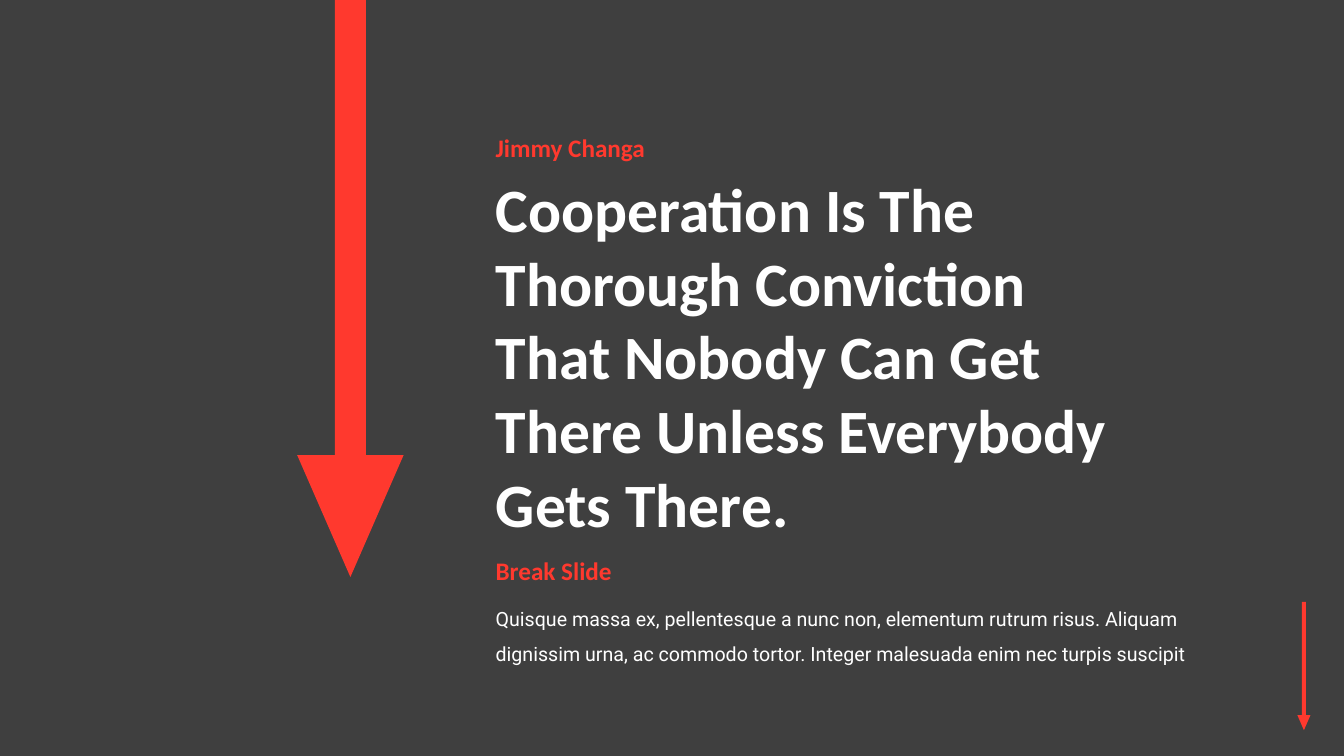
import pptx
import pptx.util
import pptx.dml.color
import pptx.enum.shapes
import pptx.enum.text
import pptx.oxml
import pptx.oxml.ns

Cm = pptx.util.Cm
MSO_SHAPE = pptx.enum.shapes.MSO_SHAPE
DARK, RED, WHITE = "3F3F3F", "FF392E", "FFFFFF"


def paint(fill, color):
    fill.solid()
    fill.fore_color.rgb = pptx.dml.color.RGBColor.from_string(color)


def add_block(kind, left, top, width, height, color):
    sp = slide.shapes.add_shape(kind, Cm(left), Cm(top), Cm(width), Cm(height))
    paint(sp.fill, color)
    sp.line.fill.background()
    sp.shadow.inherit = False
    return sp


prs = pptx.Presentation()
prs.slide_width, prs.slide_height = Cm(33.87), Cm(19.05)
slide = prs.slides.add_slide(prs.slide_layouts[5])
paint(slide.background.fill, DARK)

# Translucent panel over the right side
panel = add_block(MSO_SHAPE.RECTANGLE, 4.98, 0, 28.89, 19.05, DARK)
panel_color = panel._element.spPr.find(".//" + pptx.oxml.ns.qn("a:srgbClr"))
panel_color.append(pptx.oxml.parse_xml(
    '<a:alpha xmlns:a="http://schemas.openxmlformats.org/drawingml/2006/main" val="85000"/>'))

# Down arrows: centre, top, shaft width and length, head width and height
arrows = [
    (32.86, 15.17, 0.1, 2.85, 0.33, 0.38),
    (8.83, 0, 0.78, 11.47, 2.68, 3.07),
]
for center, top, shaft_w, shaft_h, head_w, head_h in arrows:
    add_block(MSO_SHAPE.RECTANGLE, center - shaft_w / 2, top, shaft_w, shaft_h, RED)
    head = add_block(MSO_SHAPE.ISOSCELES_TRIANGLE, center - head_w / 2,
                     top + shaft_h, head_w, head_h, RED)
    head.rotation = 180

# Bring the title in front of the panel
title = slide.shapes.title
slide.shapes._spTree.append(title._element)

# Quote in the title, with labels and body text: top, width, height, style
quote = ("Cooperation Is The\nThorough Conviction\nThat Nobody Can Get\n"
         "There Unless Everybody\nGets There.")
body = ("Quisque massa ex, pellentesque a nunc non, elementum rutrum risus. "
        "Aliquam dignissim urna, ac commodo tortor. "
        "Integer malesuada enim nec turpis suscipit")
texts = [
    (quote, 4.17, 19.61, 9.65, 44, "Calibri", WHITE, True, 1),
    ("Jimmy Changa", 3.2, 6.15, 1.02, 18, "Calibri", RED, True, 1),
    (body, 14.87, 18.31, 1.96, 14, "Roboto", WHITE, False, 1.5),
    ("Break Slide", 13.87, 5.66, 1.02, 18, "Calibri", RED, True, 1),
]
for text, top, width, height, size, font, color, bold, spacing in texts:
    sp = title if text == quote else slide.shapes.add_textbox(0, 0, 0, 0)
    sp.left, sp.top, sp.width, sp.height = Cm(12.24), Cm(top), Cm(width), Cm(height)
    tf = sp.text_frame
    tf.text = text
    tf.word_wrap = True
    tf.auto_size = pptx.enum.text.MSO_AUTO_SIZE.SHAPE_TO_FIT_TEXT
    tf.vertical_anchor = pptx.enum.text.MSO_ANCHOR.TOP
    for p in tf.paragraphs:
        p.alignment = pptx.enum.text.PP_ALIGN.LEFT
        p.line_spacing = spacing
        for r in p.runs:
            r.font.size = pptx.util.Pt(size)
            r.font.name = font
            r.font.bold = bold
            paint(r.font.fill, color)

prs.save("out.pptx")
